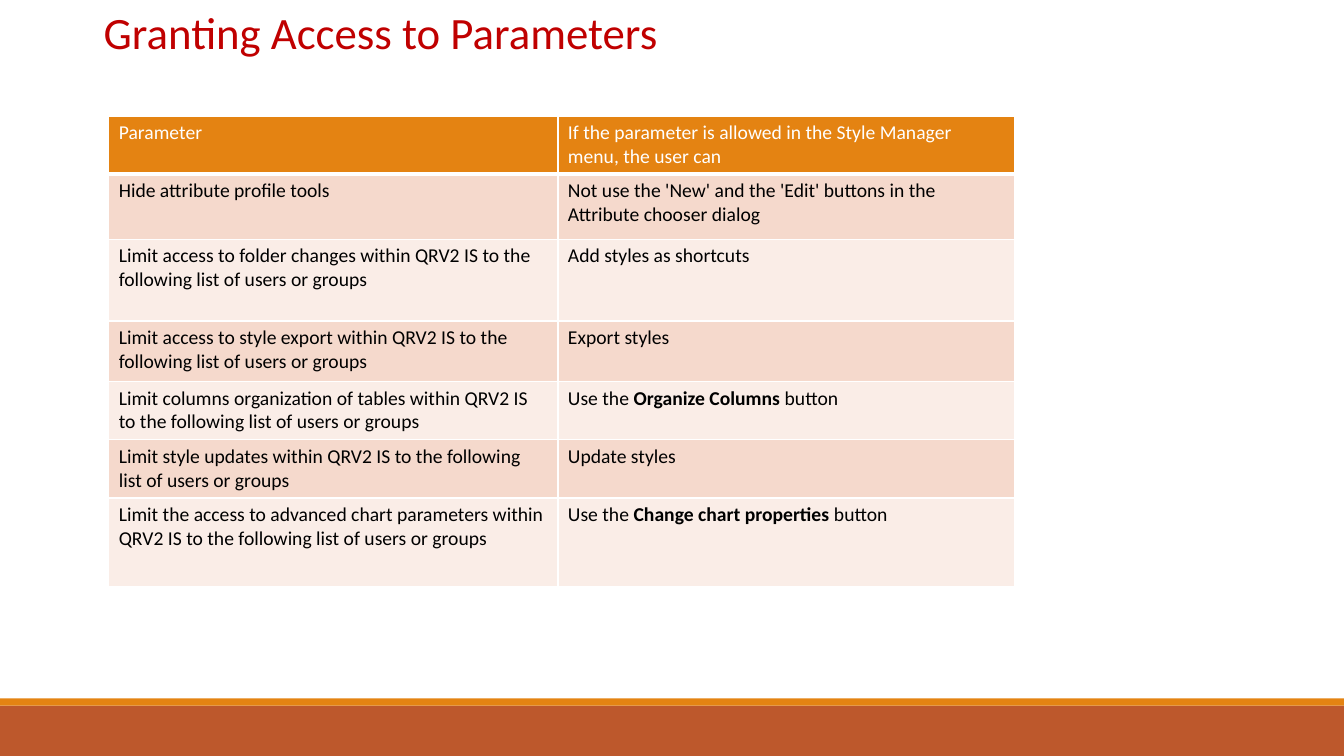
"""Build the slide on granting access to parameters."""
from lxml.etree import SubElement
from pptx import Presentation
from pptx.dml.color import RGBColor as RGB
from pptx.enum.shapes import MSO_SHAPE as Shape
from pptx.enum.text import MSO_ANCHOR as Anchor, MSO_AUTO_SIZE as AutoSize, PP_ALIGN as Align
from pptx.oxml.ns import qn
from pptx.util import Cm, Pt

TITLE = "Granting Access to Parameters"
FONT = "Calibri"
COLORS = {"title": "C00000", "header": "E48312", "footer": "BD582C", "odd": "F5D9CC",
          "even": "FAEDE7", "light": "FFFFFF", "dark": "000000"}
USERS = "the following list of users or groups"
ROWS = [
    ("Parameter", ["If the parameter is allowed in the Style Manager menu, the user can"]),
    ("Hide attribute profile tools",
     ["Not use the 'New' and the 'Edit' buttons in the Attribute chooser dialog"]),
    (f"Limit access to folder changes within QRV2 IS to {USERS}", ["Add styles as shortcuts"]),
    (f"Limit access to style export within QRV2 IS to {USERS}", ["Export styles"]),
    (f"Limit columns organization of tables within QRV2 IS to {USERS}",
     ["Use the ", "Organize Columns ", "button"]),
    (f"Limit style updates within QRV2 IS to {USERS}", ["Update styles"]),
    (f"Limit the access to advanced chart parameters within QRV2 IS to {USERS}",
     ["Use the ", "Change chart properties ", "button"]),
]
COL_WIDTHS = [11.32, 11.52]
ROW_HEIGHTS = [1.45, 1.65, 2.06, 1.52, 1.47, 1.47, 2.24]
WIDTH, HEIGHT = 33.87, 19.05
BANDS = [("footer", 17.78, 1.27), ("header", 17.6, 0.18)]


def color(name):
    return RGB.from_string(COLORS[name])


def add_run(p, text, size, ink, bold=False):
    r = p.add_run()
    r.text = text
    r.font.name, r.font.size, r.font.bold = FONT, Pt(size), bold
    r.font.color.rgb = color(ink)


def add_borders(cell, bottom):
    tc_pr = cell._tc.get_or_add_tcPr()
    for side, points in (("L", 1), ("R", 1), ("T", 1), ("B", bottom)):
        ln = SubElement(tc_pr, qn(f"a:ln{side}"), w=str(Pt(points)))
        fill = SubElement(ln, qn("a:solidFill"))
        SubElement(fill, qn("a:srgbClr"), val=COLORS["light"])


def add_bands(s):
    for name, top, height in BANDS:
        band = s.shapes.add_shape(Shape.RECTANGLE, 0, Cm(top), Cm(WIDTH), Cm(height))
        band.shadow.inherit = False
        band.fill.solid()
        band.fill.fore_color.rgb = color(name)
        band.line.fill.background()


def add_title(s):
    sp = s.shapes.title
    sp.left, sp.top, sp.width, sp.height = Cm(2.36), 0, Cm(14.63), Cm(1.63)
    tf = sp.text_frame
    tf.word_wrap, tf.auto_size = False, AutoSize.SHAPE_TO_FIT_TEXT
    tf.vertical_anchor = Anchor.TOP
    p = tf.paragraphs[0]
    p.alignment = Align.LEFT
    add_run(p, TITLE, 32, "title")


def add_parameters(s):
    table = s.shapes.add_table(len(ROWS), len(COL_WIDTHS), Cm(2.74), Cm(2.93),
                               Cm(sum(COL_WIDTHS)), Cm(sum(ROW_HEIGHTS))).table
    for column, width in zip(table.columns, COL_WIDTHS):
        column.width = Cm(width)
    for i, (parameter, effect) in enumerate(ROWS):
        table.rows[i].height = Cm(ROW_HEIGHTS[i])
        fill = "header" if i == 0 else "odd" if i % 2 else "even"
        for j, runs in enumerate(([parameter], effect)):
            cell = table.cell(i, j)
            add_borders(cell, 1 if i else 3)
            cell.fill.solid()
            cell.fill.fore_color.rgb = color(fill)
            for k, text in enumerate(runs):
                add_run(cell.text_frame.paragraphs[0], text, 14,
                        "dark" if i else "light", bold=k == 1)


def main():
    prs = Presentation()
    prs.slide_width, prs.slide_height = Cm(WIDTH), Cm(HEIGHT)
    s = prs.slides.add_slide(prs.slide_layouts[5])
    add_bands(s)
    add_title(s)
    add_parameters(s)
    prs.save("out.pptx")


if __name__ == "__main__":
    main()
